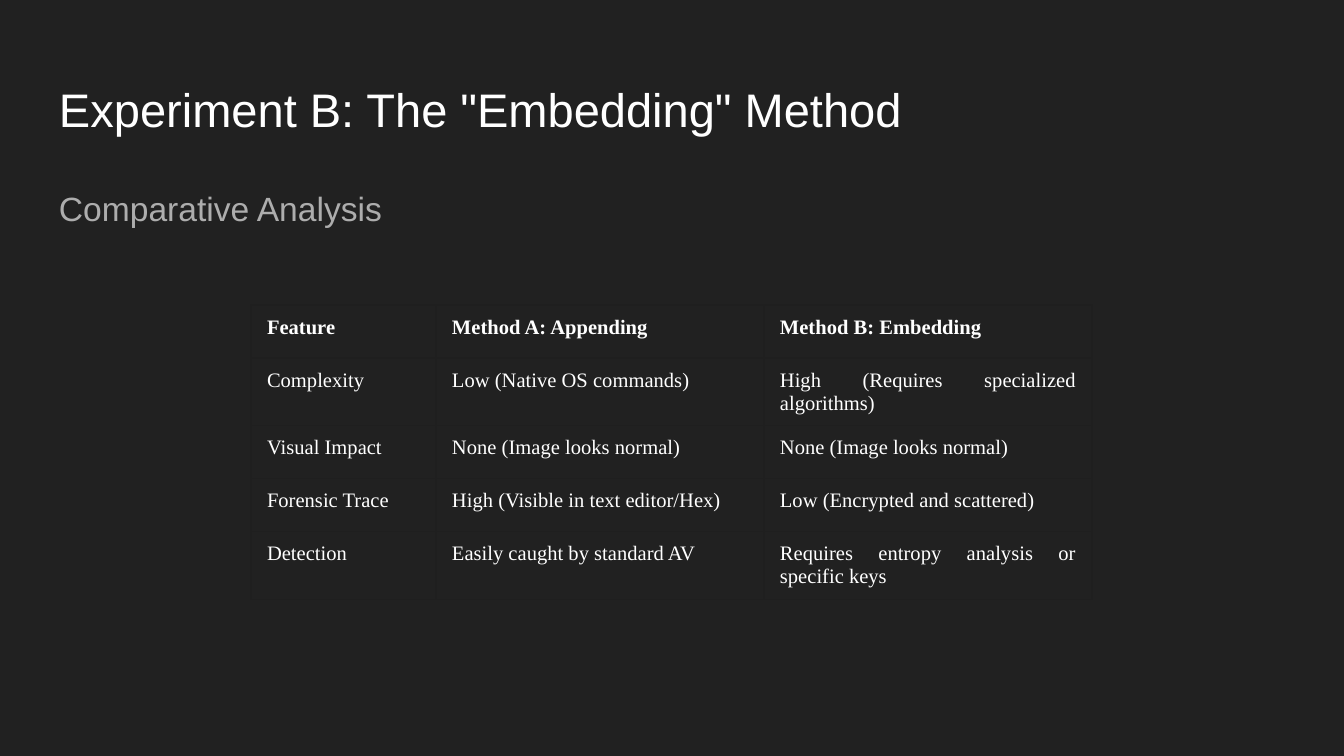
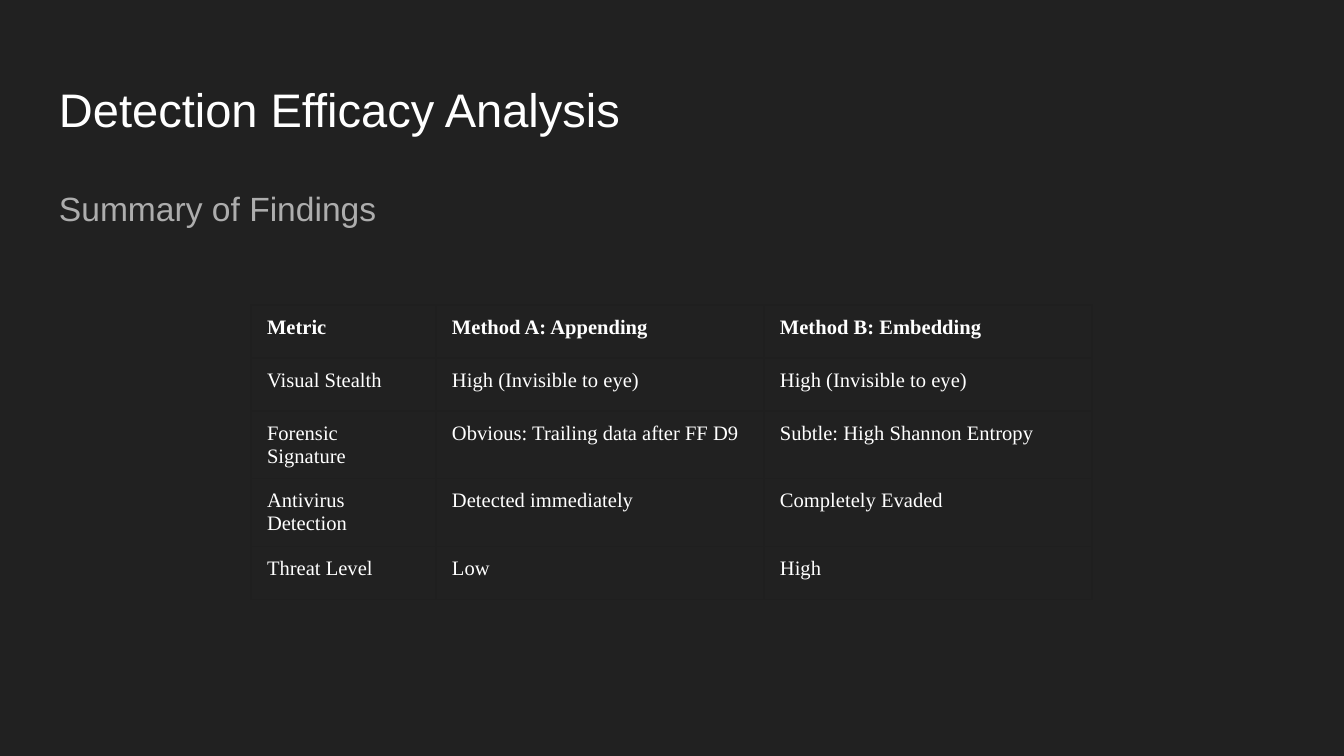
from dataclasses import dataclass

from lxml.etree import SubElement
from pptx import Presentation
from pptx.dml.color import RGBColor
from pptx.enum.text import MSO_ANCHOR, MSO_AUTO_SIZE, PP_ALIGN
from pptx.oxml.ns import qn
from pptx.util import Emu, Pt

EMU_PER_PX = 914400 / 134.4


@dataclass(frozen=True)
class Theme:
    background: str = "212121"
    border: str = "1F1F1F"
    text: str = "FFFFFF"
    muted: str = "ADADAD"
    heading_font: str = "Arial"
    table_font: str = "Times New Roman"
    title_size: float = 25.2
    subtitle_size: float = 18
    table_size: float = 11
    border_width: float = 0.75


THEME = Theme()
TITLE_BOX = (46, 66, 1253, 85)
SUBTITLE_BOX = (46, 169, 1253, 503)
TABLE_ORIGIN = (251, 305)
COLUMN_WIDTHS = (185, 328, 328)
ROW_HEIGHT = 53
BOX_INSET = 13
CELL_INSETS = (16, 11)

METHODS = ("Method A: Appending", "Method B: Embedding")
COMPARISON = [
    ("Feature", *METHODS),
    ("Complexity", "Low (Native OS commands)", "High (Requires specialized algorithms)"),
    ("Visual Impact", "None (Image looks normal)", "None (Image looks normal)"),
    ("Forensic Trace", "High (Visible in text editor/Hex)", "Low (Encrypted and scattered)"),
    ("Detection", "Easily caught by standard AV", "Requires entropy analysis or specific keys"),
]
FINDINGS = [
    ("Metric", *METHODS),
    ("Visual Stealth", "High (Invisible to eye)", "High (Invisible to eye)"),
    ("Forensic Signature", "Obvious: Trailing data after FF D9", "Subtle: High Shannon Entropy"),
    ("Antivirus Detection", "Detected immediately", "Completely Evaded"),
    ("Threat Level", "Low", "High"),
]


def px(length):
    return Emu(round(length * EMU_PER_PX))


def style_paragraph(paragraph, font_name, size, color, bold=False, align=PP_ALIGN.LEFT):
    paragraph.alignment = align
    font = paragraph.font
    font.name = font_name
    font.size = Pt(size)
    font.bold = bold
    font.color.rgb = RGBColor.from_string(color)


def set_insets(target, horizontal, vertical):
    target.margin_left = target.margin_right = px(horizontal)
    target.margin_top = target.margin_bottom = px(vertical)


def fill_heading(heading, text, size, color, anchor):
    frame = heading.text_frame
    frame.word_wrap = True
    frame.auto_size = MSO_AUTO_SIZE.NONE
    frame.vertical_anchor = anchor
    set_insets(frame, BOX_INSET, BOX_INSET)
    frame.text = text
    paragraph = frame.paragraphs[0]
    style_paragraph(paragraph, THEME.heading_font, size, color)
    return paragraph


def add_title(slide, text):
    title = slide.shapes.title
    title.left, title.top, title.width, title.height = map(px, TITLE_BOX)
    fill_heading(title, text, THEME.title_size, THEME.text, MSO_ANCHOR.MIDDLE)


def add_subtitle(slide, text):
    subtitle = slide.shapes.add_textbox(*map(px, SUBTITLE_BOX))
    paragraph = fill_heading(
        subtitle, text, THEME.subtitle_size, THEME.muted, MSO_ANCHOR.TOP
    )
    paragraph.line_spacing = 1.15
    paragraph.space_after = Pt(12)


def set_borders(cell):
    properties = cell._tc.get_or_add_tcPr()
    for position, side in enumerate(("a:lnL", "a:lnR", "a:lnT", "a:lnB")):
        line = SubElement(properties, qn(side), w=str(Pt(THEME.border_width)))
        properties.insert(position, line)
        solid = SubElement(line, qn("a:solidFill"))
        SubElement(solid, qn("a:srgbClr"), val=THEME.border)


def add_method_table(slide, rows):
    size = (sum(COLUMN_WIDTHS), ROW_HEIGHT * len(rows))
    table = slide.shapes.add_table(
        len(rows), len(COLUMN_WIDTHS), *map(px, TABLE_ORIGIN + size)
    ).table
    table.horz_banding = False
    for column, width in zip(table.columns, COLUMN_WIDTHS):
        column.width = px(width)
    for row_index, values in enumerate(rows):
        table.rows[row_index].height = px(ROW_HEIGHT)
        for column_index, value in enumerate(values):
            cell = table.cell(row_index, column_index)
            cell.text = value
            cell.fill.background()
            set_insets(cell, *CELL_INSETS)
            set_borders(cell)
            style_paragraph(
                cell.text_frame.paragraphs[0],
                THEME.table_font,
                THEME.table_size,
                THEME.text,
                bold=row_index == 0,
                align=PP_ALIGN.JUSTIFY,
            )


def add_table_slide(presentation, title, subtitle, rows):
    slide = presentation.slides.add_slide(presentation.slide_layouts[5])
    add_title(slide, title)
    add_subtitle(slide, subtitle)
    add_method_table(slide, rows)


def main():
    presentation = Presentation()
    presentation.slide_width = px(1344)
    presentation.slide_height = px(756)
    background = presentation.slide_master.background.fill
    background.solid()
    background.fore_color.rgb = RGBColor.from_string(THEME.background)
    add_table_slide(
        presentation,
        'Experiment B: The "Embedding" Method',
        "Comparative Analysis",
        COMPARISON,
    )
    add_table_slide(
        presentation, "Detection Efficacy Analysis", "Summary of Findings", FINDINGS
    )
    presentation.save("out.pptx")


if __name__ == "__main__":
    main()
